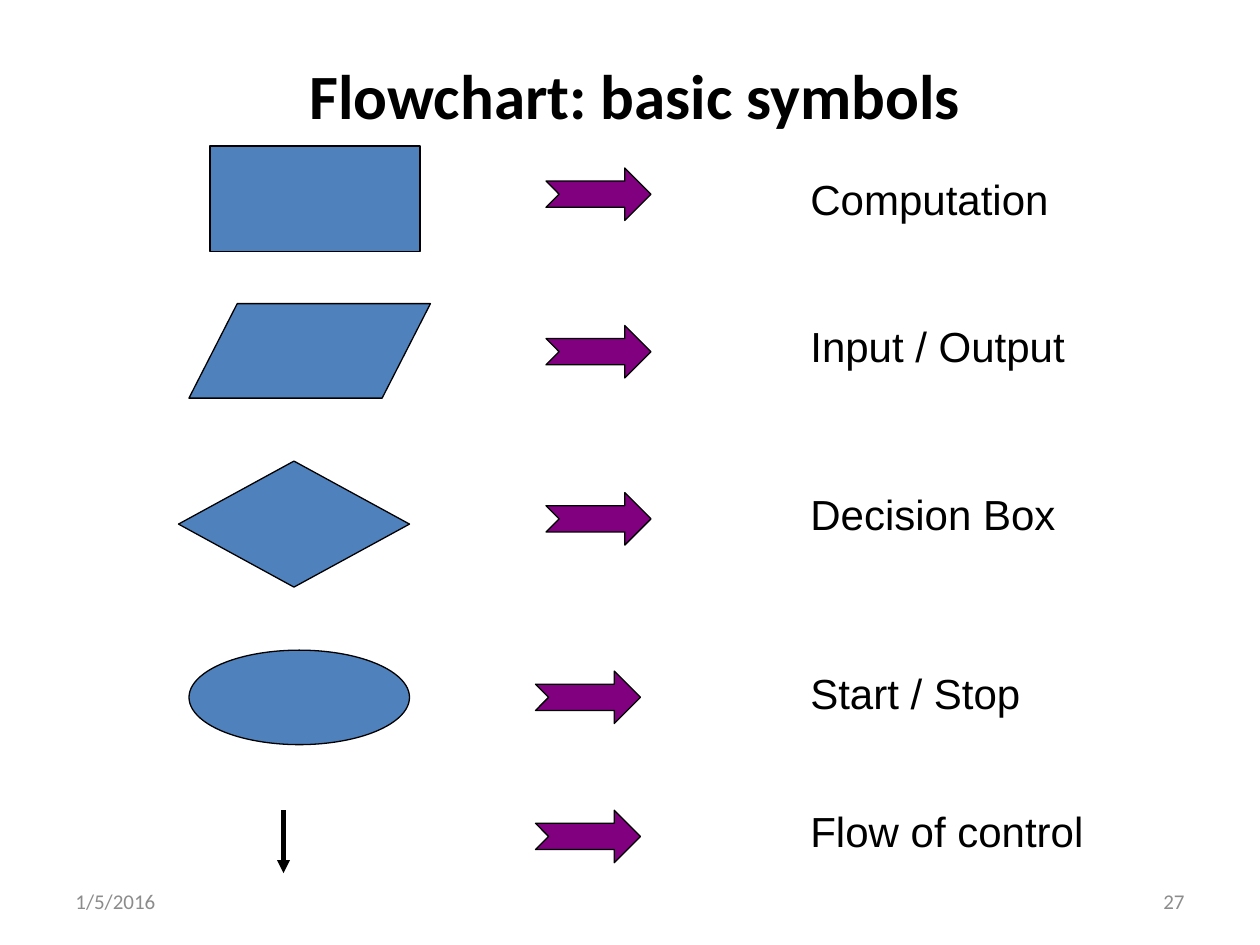
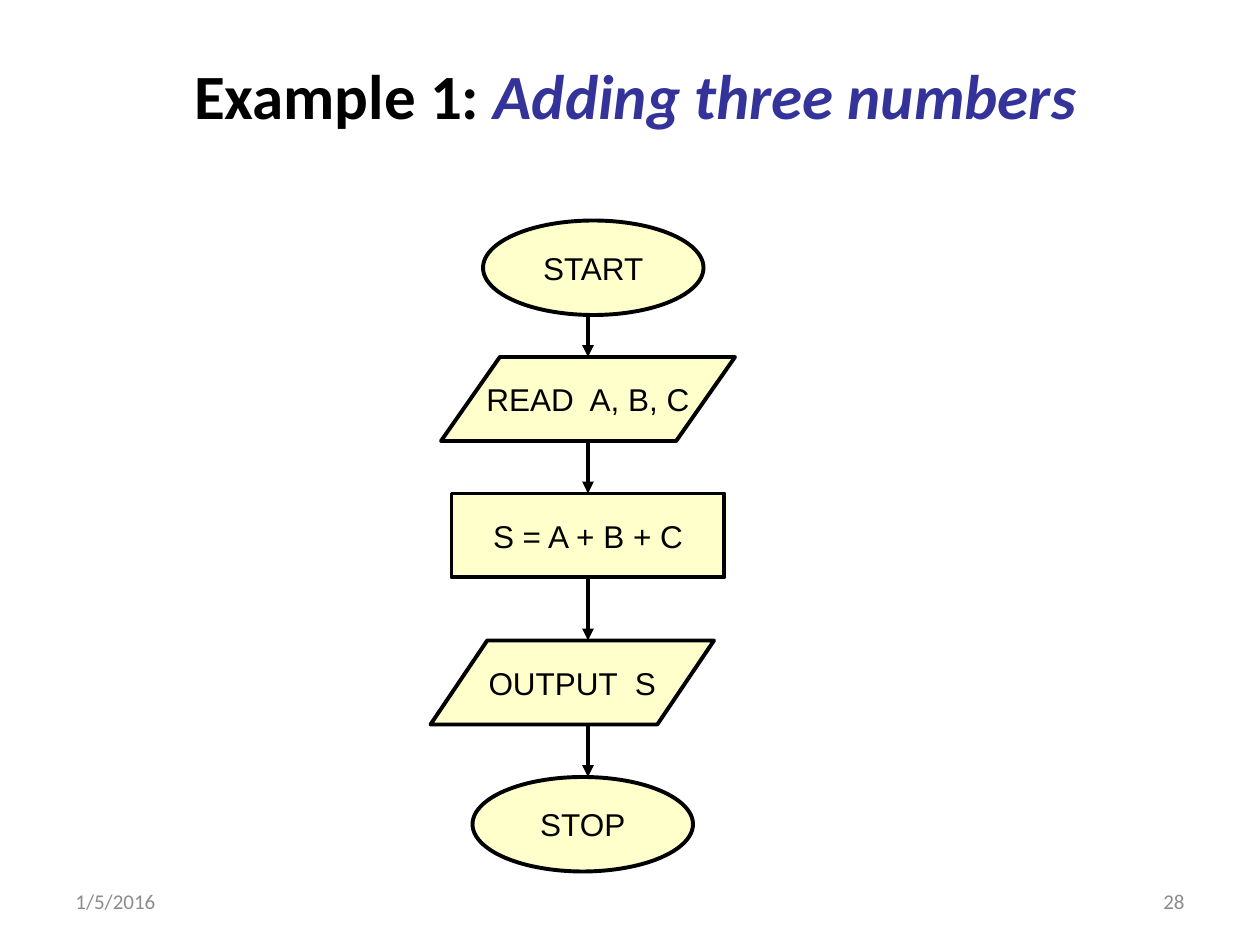
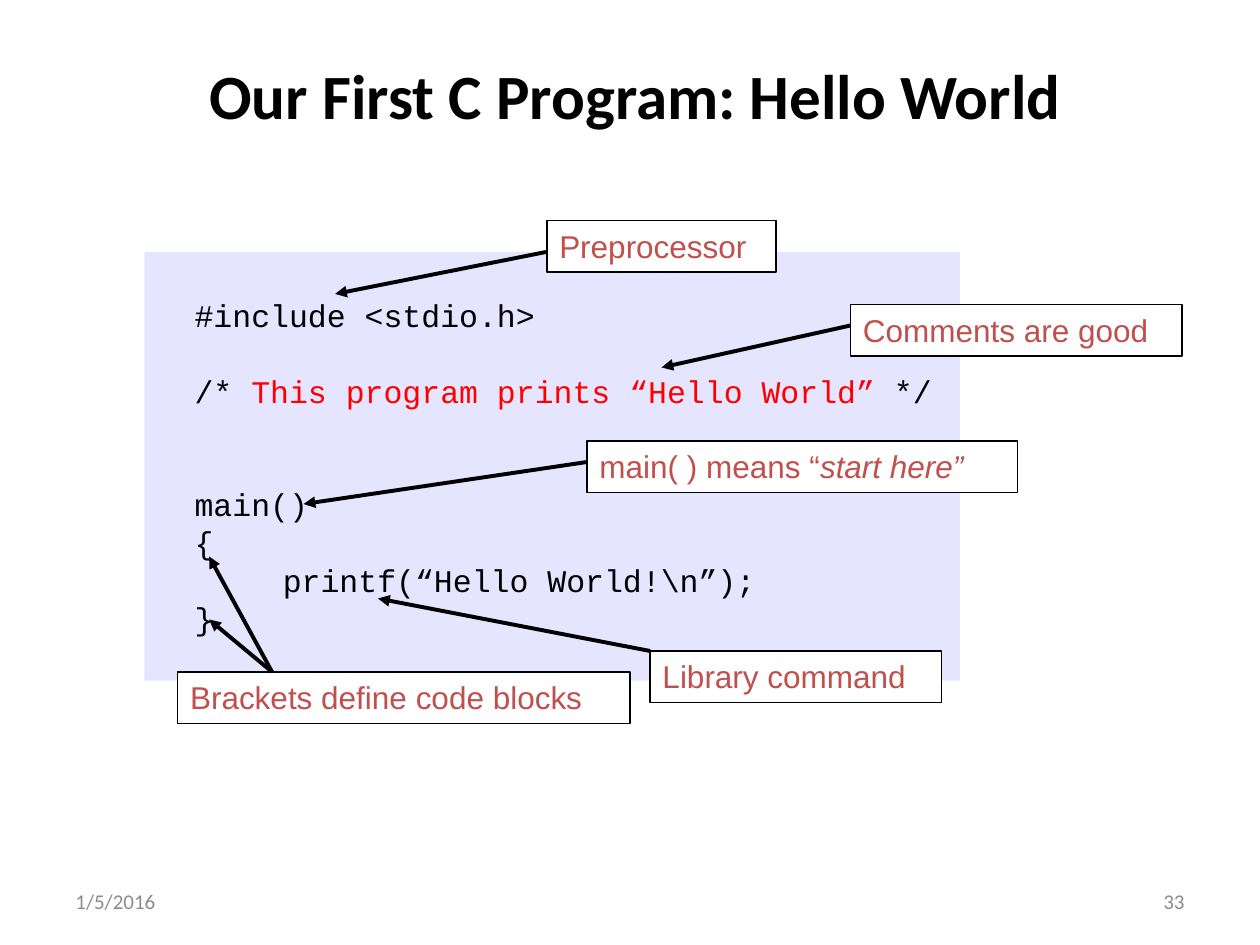
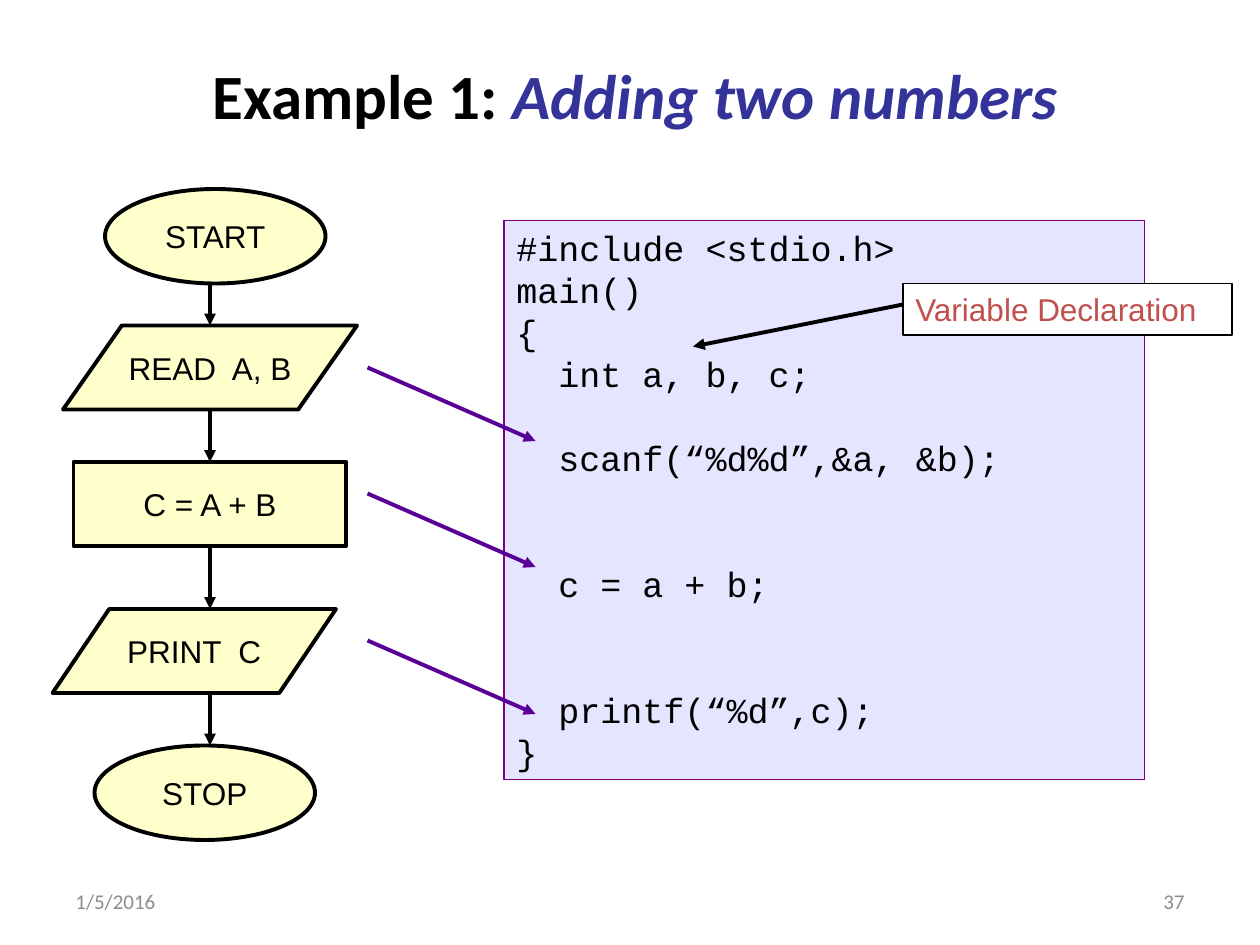
from lxml import etree
from pptx import Presentation
from pptx.dml.color import RGBColor
from pptx.enum.shapes import MSO_CONNECTOR, MSO_SHAPE
from pptx.enum.text import MSO_ANCHOR, MSO_AUTO_SIZE, PP_ALIGN
from pptx.oxml.ns import qn
from pptx.util import Pt

BLACK = RGBColor(0x00, 0x00, 0x00)
WHITE = RGBColor(0xFF, 0xFF, 0xFF)
GRAY = RGBColor(0x8C, 0x8C, 0x8C)
BLUE = RGBColor(0x4F, 0x81, 0xBD)
INDIGO = RGBColor(0x33, 0x33, 0x99)
PURPLE = RGBColor(0x80, 0x00, 0x80)
VIOLET = RGBColor(0x59, 0x00, 0x96)
CREAM = RGBColor(0xFF, 0xFF, 0xCC)
LAVENDER = RGBColor(0xE5, 0xE5, 0xFF)
RED = RGBColor(0xFF, 0x00, 0x00)
BRICK = RGBColor(0xC0, 0x50, 0x4D)

RECTANGLE = MSO_SHAPE.RECTANGLE
PROCESS = MSO_SHAPE.FLOWCHART_PROCESS
DATA = MSO_SHAPE.FLOWCHART_DATA
DECISION = MSO_SHAPE.FLOWCHART_DECISION
OVAL = MSO_SHAPE.OVAL
NOTCHED_ARROW = MSO_SHAPE.NOTCHED_RIGHT_ARROW
STRAIGHT = MSO_CONNECTOR.STRAIGHT
LEFT, CENTER, RIGHT = PP_ALIGN.LEFT, PP_ALIGN.CENTER, PP_ALIGN.RIGHT
TOP, MIDDLE = MSO_ANCHOR.TOP, MSO_ANCHOR.MIDDLE
NO_AUTOFIT = MSO_AUTO_SIZE.NONE

TITLE_FONT, BODY_FONT, CODE_FONT = "Calibri", "Arial", "Courier New"
LINE_HEIGHT = 1.2
CODE_TAB = Pt(72)


def add_box(slide, kind, left, top, width, height, fill, line=BLACK, weight=0.75):
    shape = slide.shapes.add_shape(kind, Pt(left), Pt(top), Pt(width), Pt(height))
    shape.shadow.inherit = False
    shape.fill.solid()
    shape.fill.fore_color.rgb = fill
    if line is None:
        shape.line.fill.background()
    else:
        shape.line.color.rgb = line
        shape.line.width = Pt(weight)
    return shape


def add_arrow(slide, start, end, color=BLACK, weight=2.25):
    connector = slide.shapes.add_connector(
        STRAIGHT, Pt(start[0]), Pt(start[1]), Pt(end[0]), Pt(end[1]))
    connector.line.color.rgb = color
    connector.line.width = Pt(weight)
    properties = connector.element.spPr
    etree.SubElement(properties.find(qn("a:ln")), qn("a:tailEnd"), type="triangle")
    etree.SubElement(properties, qn("a:effectLst"))


presentation = Presentation()
presentation.slide_width = Pt(720)
presentation.slide_height = Pt(540)
title_only = presentation.slide_layouts[5]

# Titles and footers: plain title, accented title, slide number
headings = [
    ("Flowchart: basic symbols", "", "27"),
    ("Example 1: ", "Adding three numbers", "28"),
    ("Our First C Program: Hello World", "", "33"),
    ("Example 1: ", "Adding two numbers", "37"),
]
slides = []
for plain, accent, number in headings:
    slide = presentation.slides.add_slide(title_only)
    slides.append(slide)
    title = slide.shapes.title
    title.left, title.top, title.width, title.height = Pt(24), Pt(24), Pt(678), Pt(60)
    title.text_frame.text = plain
    title.text_frame.auto_size = NO_AUTOFIT
    title.text_frame.vertical_anchor = MIDDLE
    paragraph = title.text_frame.paragraphs[0]
    paragraph.alignment = CENTER
    if accent:
        paragraph.add_run().text = accent
    for run, color in zip(paragraph.runs, (BLACK, INDIGO)):
        run.font.name = TITLE_FONT
        run.font.size = Pt(36)
        run.font.bold = True
        run.font.italic = color == INDIGO
        run.font.color.rgb = color

    for text, left, alignment in (("1/5/2016", 36, LEFT), (number, 516, RIGHT)):
        footer = slide.shapes.add_textbox(Pt(left), Pt(500.5), Pt(168), Pt(28.75))
        footer.text_frame.text = text
        footer.text_frame.word_wrap = True
        footer.text_frame.vertical_anchor = MIDDLE
        paragraph = footer.text_frame.paragraphs[0]
        paragraph.alignment = alignment
        font = paragraph.runs[0].font
        font.name, font.size = TITLE_FONT, Pt(12)
        font.color.rgb = GRAY

symbols_slide, sum_slide, hello_slide, program_slide = slides

# Basic symbols: symbol, its bounds, pointer position, label, label top and width
symbols = [
    (PROCESS, (120, 83.5, 120, 60), (312, 96), "Computation", 95.5, 186),
    (DATA, (108, 173.5, 138, 54), (312, 186), "Input / Output", 179.5, 207),
    (DECISION, (102, 263.5, 132, 72), (312, 281.5), "Decision Box", 275.5, 186),
    (OVAL, (108, 371.5, 126, 54), (306, 383.5), "Start / Stop", 378, 186),
    (None, None, (306, 463), "Flow of control", 457, 174),
]
for kind, bounds, pointer, text, label_top, label_width in symbols:
    if kind is None:
        add_arrow(symbols_slide, (162, 463), (162, 499), weight=2.5)
    else:
        add_box(symbols_slide, kind, *bounds, BLUE)
    add_box(symbols_slide, NOTCHED_ARROW, *pointer, 60, 30, PURPLE)
    label = symbols_slide.shapes.add_textbox(
        Pt(456), Pt(label_top), Pt(label_width), Pt(36))
    label.text_frame.text = text
    label.text_frame.word_wrap = True
    font = label.text_frame.paragraphs[0].runs[0].font
    font.name, font.size = BODY_FONT, Pt(24)
    font.color.rgb = BLACK

# Flowcharts: steps are placed from the arrow axis and the top of the chart
steps = [
    (OVAL, -60, 0, 126, 54),
    (DATA, -84, 78, 168, 48),
    (RECTANGLE, -78, 156, 156, 48),
    (DATA, -90, 240, 162, 48),
    (OVAL, -66, 318, 126, 54),
]
flowcharts = [
    (sum_slide, 336, 126,
     ["START", "READ  A, B, C", "S = A + B + C", "OUTPUT  S", "STOP"]),
    (program_slide, 120, 108,
     ["START", "READ  A, B", "C = A + B", "PRINT  C", "STOP"]),
]
for slide, axis, chart_top, texts in flowcharts:
    for (kind, offset, step_top, width, height), text in zip(steps, texts):
        step = add_box(slide, kind, axis + offset, chart_top + step_top,
                       width, height, CREAM, weight=2.25)
        step.text_frame.text = text
        step.text_frame.word_wrap = False
        step.text_frame.vertical_anchor = MIDDLE
        paragraph = step.text_frame.paragraphs[0]
        paragraph.alignment = CENTER
        font = paragraph.runs[0].font
        font.name, font.size = BODY_FONT, Pt(18)
        font.color.rgb = BLACK
    for step, following in zip(steps, steps[1:]):
        add_arrow(slide, (axis, chart_top + step[2] + step[4]),
                  (axis, chart_top + following[2]))

# Code panels: each line has the number of free lines above it and its runs
hello_code = [
    (1, ["  #include <stdio.h>"]),
    (1, ["  /* ", "This program prints “Hello World”", " */"]),
    (2, ["  main()"]),
    (0, ["  {"]),
    (0, ["\tprintf(“Hello World!\\n”);"]),
    (0, ["  }"]),
]
sum_code = [
    (0, ["#include <stdio.h>"]),
    (0, ["main()"]),
    (0, ["{"]),
    (0, ["  int a, b, c;"]),
    (1, ["  scanf(“%d%d”,&a, &b);"]),
    (2, ["  c = a + b;"]),
    (2, ["  printf(“%d”,c);"]),
    (0, ["}"]),
]
panels = [
    (hello_slide, (82.5, 144, 466, 245), None, 18, hello_code),
    (program_slide, (288, 126, 366, 319.5), PURPLE, 20, sum_code),
]
for slide, bounds, outline, size, code in panels:
    panel = add_box(slide, RECTANGLE, *bounds, LAVENDER, outline)
    frame = panel.text_frame
    frame.word_wrap = True
    frame.vertical_anchor = TOP
    for index, (free_lines, texts) in enumerate(code):
        gap = free_lines * size * LINE_HEIGHT
        if index == 0:
            paragraph = frame.paragraphs[0]
            frame.margin_top = Pt(3.6 + gap)
        else:
            paragraph = frame.add_paragraph()
            paragraph.space_before = Pt(gap)
        paragraph.alignment = LEFT
        if texts[0].startswith("\t"):
            tabs = etree.SubElement(paragraph._p.get_or_add_pPr(), qn("a:tabLst"))
            etree.SubElement(tabs, qn("a:tab"), pos=str(int(CODE_TAB)), algn="l")
        for text, color in zip(texts, (BLACK, RED, BLACK)):
            run = paragraph.add_run()
            run.text = text
            run.font.name, run.font.size = CODE_FONT, Pt(size)
            run.font.color.rgb = color

# Callouts: plain text, italic text, left, top, width, arrow start, arrow ends
callouts = [
    (hello_slide, "Brackets define code blocks", "", 101.5, 384, 258.5,
     (155.5, 384), [(119.5, 318), (119.5, 354)]),
    (hello_slide, "Library command", "", 371.5, 372, 166.5,
     (371.5, 372), [(216, 342)]),
    (hello_slide, "main( ) means “", "start here”", 335.5, 252, 246,
     (335.5, 264), [(173.5, 288)]),
    (hello_slide, "Preprocessor", "", 312.5, 126, 131,
     (312, 144), [(191.5, 168)]),
    (hello_slide, "Comments are good", "", 486, 174, 189.5,
     (486, 186), [(378, 210)]),
    (program_slide, "Variable Declaration", "", 516, 162, 188,
     (516, 174), [(396, 198)]),
]
for slide, plain, italic, left, top, width, start, ends in callouts:
    callout = add_box(slide, RECTANGLE, left, top, width, 29.5, WHITE)
    callout.text_frame.text = plain
    callout.text_frame.word_wrap = True
    callout.text_frame.vertical_anchor = TOP
    paragraph = callout.text_frame.paragraphs[0]
    paragraph.alignment = LEFT
    if italic:
        run = paragraph.add_run()
        run.text = italic
        run.font.italic = True
    for run in paragraph.runs:
        run.font.name, run.font.size = BODY_FONT, Pt(18)
        run.font.color.rgb = BRICK
    for end in ends:
        add_arrow(slide, start, end)

# Links from the flowchart steps to their code lines
for link_top in (210, 282, 366):
    add_arrow(program_slide, (210, link_top), (306, link_top + 42), VIOLET)

presentation.save("out.pptx")
